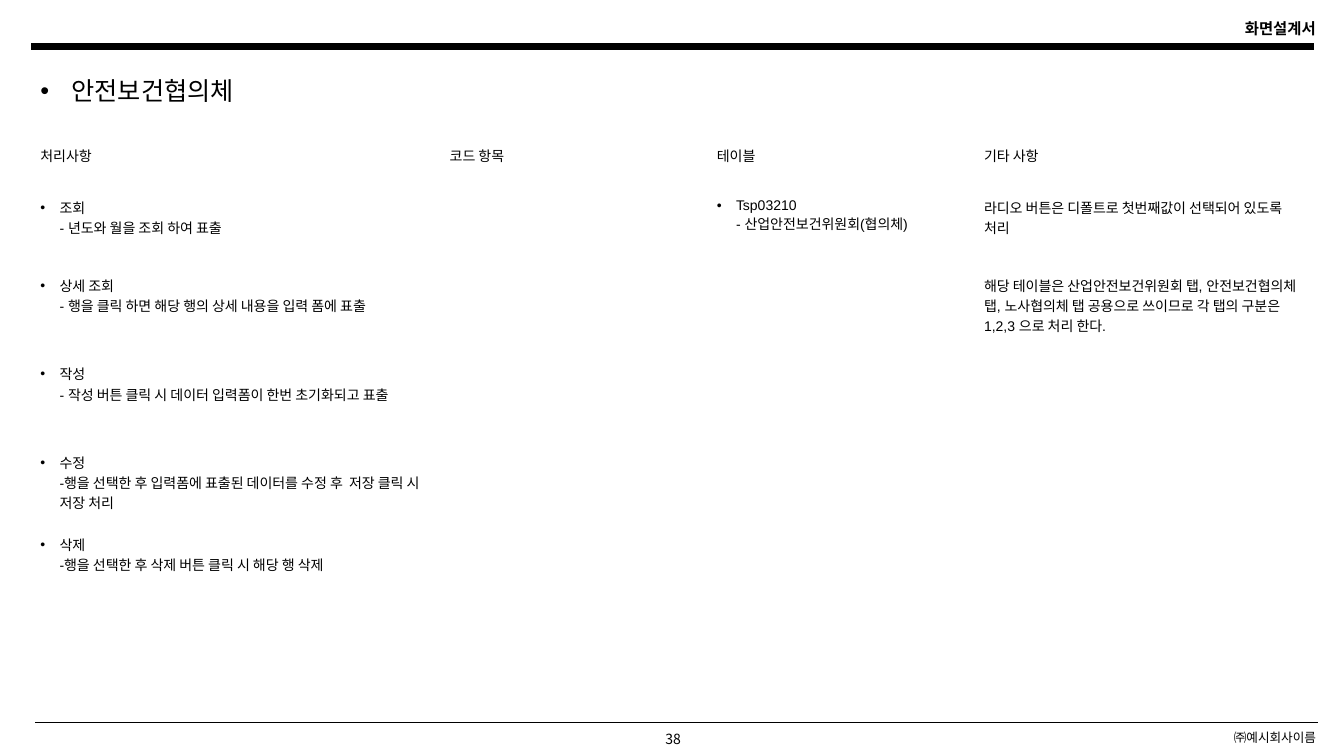
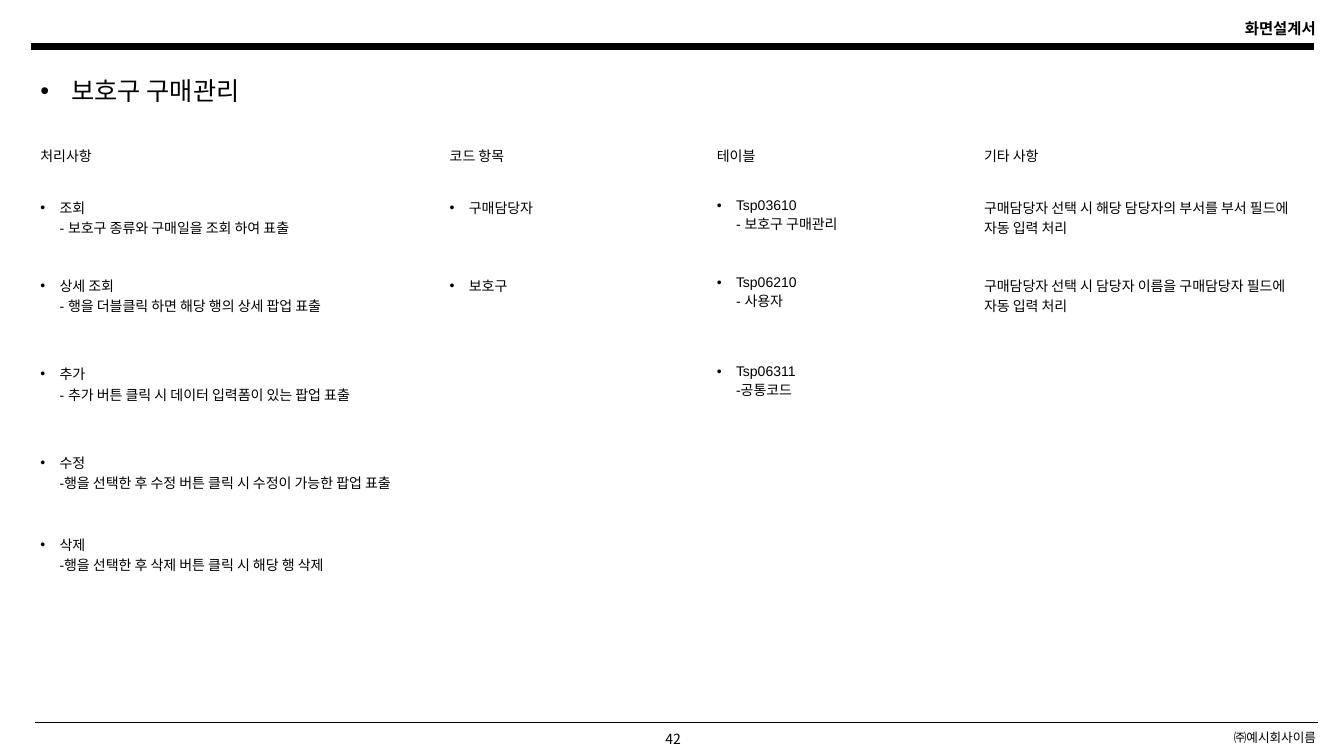
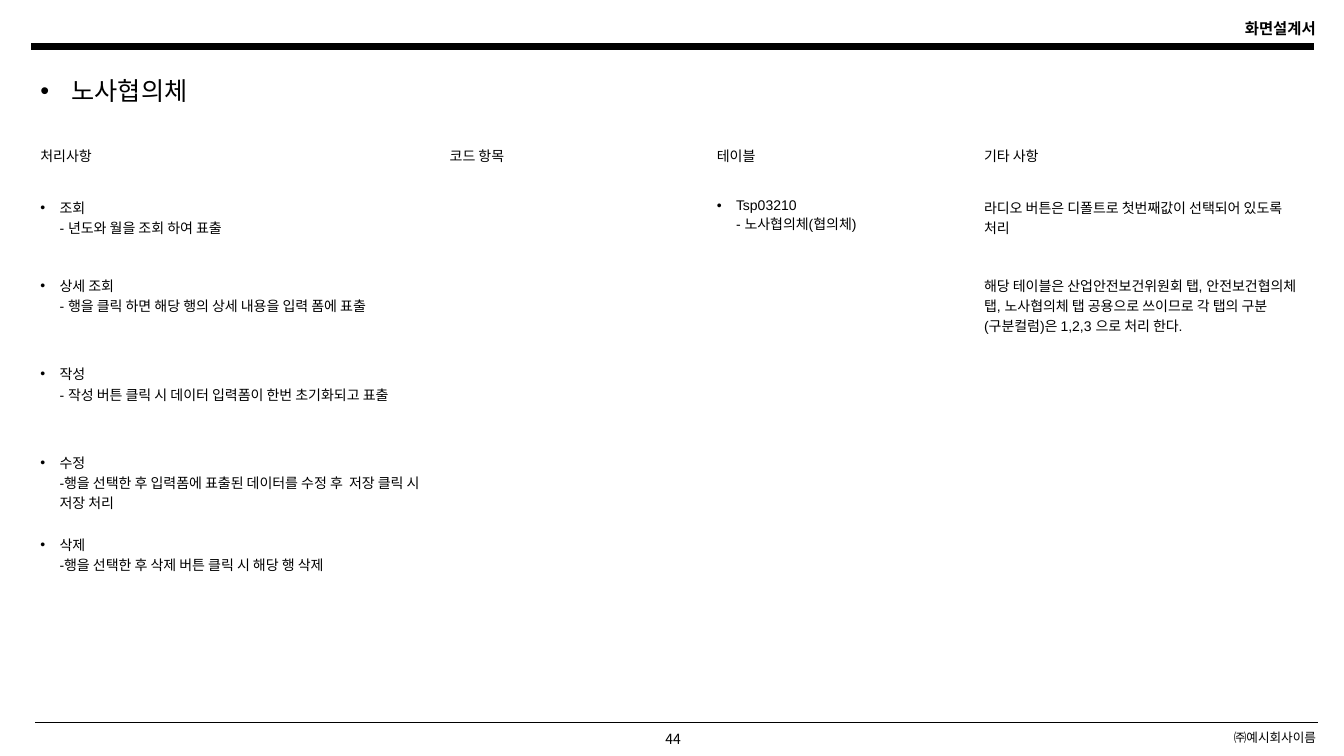
from pptx import Presentation
from pptx.dml.color import RGBColor
from pptx.enum import shapes, text
from pptx.oxml import ns, xmlchemy
from pptx.util import Inches, Pt

BLACK, WHITE = "000000", "FFFFFF"
LATIN, KOREAN = "Arial", "Noto Sans CJK KR"
COLUMN_WIDTHS = [4.06, 2.65, 2.65, 3.36]
ROW_HEIGHTS = [0.52, 0.77, 0.88, 0.88, 0.81, 1.1]
HEADINGS = ["처리사항", "코드 항목", "테이블", "기타 사항"]
ACTIONS, CODES, TABLES, NOTES = range(4)

DELETE = ["삭제", "-행을 선택한 후 삭제 버튼 클릭 시 해당 행 삭제"]
COUNCIL_ACTIONS = [
    ["조회", "- 년도와 월을 조회 하여 표출"],
    ["상세 조회", "- 행을 클릭 하면 해당 행의 상세 내용을 입력 폼에 표출"],
    ["작성", "- 작성 버튼 클릭 시 데이터 입력폼이 한번 초기화되고 표출"],
    ["수정", "-행을 선택한 후 입력폼에 표출된 데이터를 수정 후  저장 클릭 시 저장 처리"],
    DELETE,
]
PURCHASE_ACTIONS = [
    ["조회", "- 보호구 종류와 구매일을 조회 하여 표출"],
    ["상세 조회", "- 행을 더블클릭 하면 해당 행의 상세 팝업 표출"],
    ["추가", "- 추가 버튼 클릭 시 데이터 입력폼이 있는 팝업 표출"],
    ["수정", "-행을 선택한 후 수정 버튼 클릭 시 수정이 가능한 팝업 표출"],
    DELETE,
]


def council_columns(table_use, division):
    """Columns of a council page; only the table's use and the division wording vary."""
    return {
        ACTIONS: COUNCIL_ACTIONS,
        TABLES: [["Tsp03210", f"- {table_use}(협의체)"]],
        NOTES: [
            ["라디오 버튼은 디폴트로 첫번째값이 선택되어 있도록 처리"],
            ["해당 테이블은 산업안전보건위원회 탭, 안전보건협의체 탭, 노사협의체 탭 "
             f"공용으로 쓰이므로 각 탭의 {division}은 1,2,3 으로 처리 한다."],
        ],
    }


PAGES = [
    ("안전보건협의체", 38, council_columns("산업안전보건위원회", "구분")),
    ("보호구 구매관리", 42, {
        ACTIONS: PURCHASE_ACTIONS,
        CODES: [["구매담당자"], ["보호구"]],
        TABLES: [["Tsp03610", "- 보호구 구매관리"],
                 ["Tsp06210", "- 사용자"],
                 ["Tsp06311", "-공통코드"]],
        NOTES: [["구매담당자 선택 시 해당 담당자의 부서를 부서 필드에 자동 입력 처리"],
                ["구매담당자 선택 시 담당자 이름을 구매담당자 필드에 자동 입력 처리"]],
    }),
    ("노사협의체", 44, council_columns("노사협의체", "구분(구분컬럼)")),
]


def color(code):
    return RGBColor.from_string(code)


def add_child(parent, tag, **attributes):
    child = xmlchemy.OxmlElement(tag)
    for name, value in attributes.items():
        child.set(name, value)
    parent.append(child)


def add_span(para, words, size, font=LATIN, bold=False):
    span = para.add_run()
    span.text = words
    span.font.name = font
    span.font.size = Pt(size)
    span.font.bold = bold
    span.font.color.rgb = color(BLACK)
    add_child(span.font._element, "a:ea", typeface=KOREAN)


def indent(para, width, bullet=False):
    """Indent a paragraph, hanging a bullet in the indent if asked."""
    props = para._p.get_or_add_pPr()
    props.set("marL", str(Inches(width)))
    props.set("indent", str(-Inches(width) if bullet else 0))
    if bullet:
        add_child(props, "a:buFont", typeface=LATIN)
        add_child(props, "a:buChar", char="•")


def add_label(page, words, left, top, width, height, size, align, bold=False):
    box = page.shapes.add_textbox(Inches(left), Inches(top), Inches(width), Inches(height))
    frame = box.text_frame
    frame.word_wrap = True
    frame.vertical_anchor = text.MSO_ANCHOR.MIDDLE
    para = frame.paragraphs[0]
    para.alignment = align
    add_span(para, words, size, KOREAN, bold)


def add_rule(page, left, top, weight):
    rule = page.shapes.add_connector(
        shapes.MSO_CONNECTOR.STRAIGHT,
        Inches(left), Inches(top), Inches(left + 12.72), Inches(top))
    rule.line.color.rgb = color(BLACK)
    rule.line.width = Pt(weight)
    add_child(rule._element.find(ns.qn("p:spPr")), "a:effectLst")


def add_frame(page, number):
    """Add the header and footer that every page carries."""
    right = text.PP_ALIGN.RIGHT
    add_label(page, "화면설계서", 8.04, 0.14, 5.11, 0.29, 11, right, bold=True)
    add_rule(page, 0.31, 0.46, 4.5)
    add_rule(page, 0.35, 7.17, 1)
    add_label(page, str(number), 6.1, 7.2, 1.15, 0.27, 10, text.PP_ALIGN.CENTER)
    add_label(page, "㈜예시회사이름", 8.04, 7.19, 5.11, 0.25, 9, right)


def set_title(page, words):
    title = page.shapes.title
    title.left, title.top = Inches(0.3), Inches(0.7)
    title.width, title.height = Inches(5), Inches(0.4)
    frame = title.text_frame
    frame.auto_size = text.MSO_AUTO_SIZE.NONE
    frame.vertical_anchor = text.MSO_ANCHOR.TOP
    para = frame.paragraphs[0]
    para.alignment = text.PP_ALIGN.LEFT
    indent(para, 0.31, bullet=True)
    add_span(para, words, 18)


def fill_cell(cell, lines, bulleted):
    """Write the lines, the first with a bullet if asked and the rest below its text."""
    frame = cell.text_frame
    for index, line in enumerate(lines):
        para = frame.add_paragraph() if index else frame.paragraphs[0]
        if bulleted:
            indent(para, 0.19, bullet=index == 0)
        add_span(para, line, 10)


def add_spec_table(page, columns):
    table = page.shapes.add_table(
        len(ROW_HEIGHTS), len(COLUMN_WIDTHS), Inches(0.3), Inches(1.39),
        Inches(sum(COLUMN_WIDTHS)), Inches(sum(ROW_HEIGHTS))).table
    table.horz_banding = False
    for column, width in zip(table.columns, COLUMN_WIDTHS):
        column.width = Inches(width)
    for row, height in zip(table.rows, ROW_HEIGHTS):
        row.height = Inches(height)
    for cell in table.iter_cells():
        cell.fill.solid()
        cell.fill.fore_color.rgb = color(WHITE)
    for index, heading in enumerate(HEADINGS):
        fill_cell(table.cell(0, index), [heading], bulleted=False)
        for row, lines in enumerate(columns.get(index, []), start=1):
            fill_cell(table.cell(row, index), lines, bulleted=index != NOTES)


def main():
    deck = Presentation()
    deck.slide_width, deck.slide_height = Inches(13.33), Inches(7.5)
    title_only = deck.slide_layouts[5]
    for title, number, columns in PAGES:
        page = deck.slides.add_slide(title_only)
        add_frame(page, number)
        add_spec_table(page, columns)
        set_title(page, title)
    deck.save("out.pptx")


if __name__ == "__main__":
    main()
